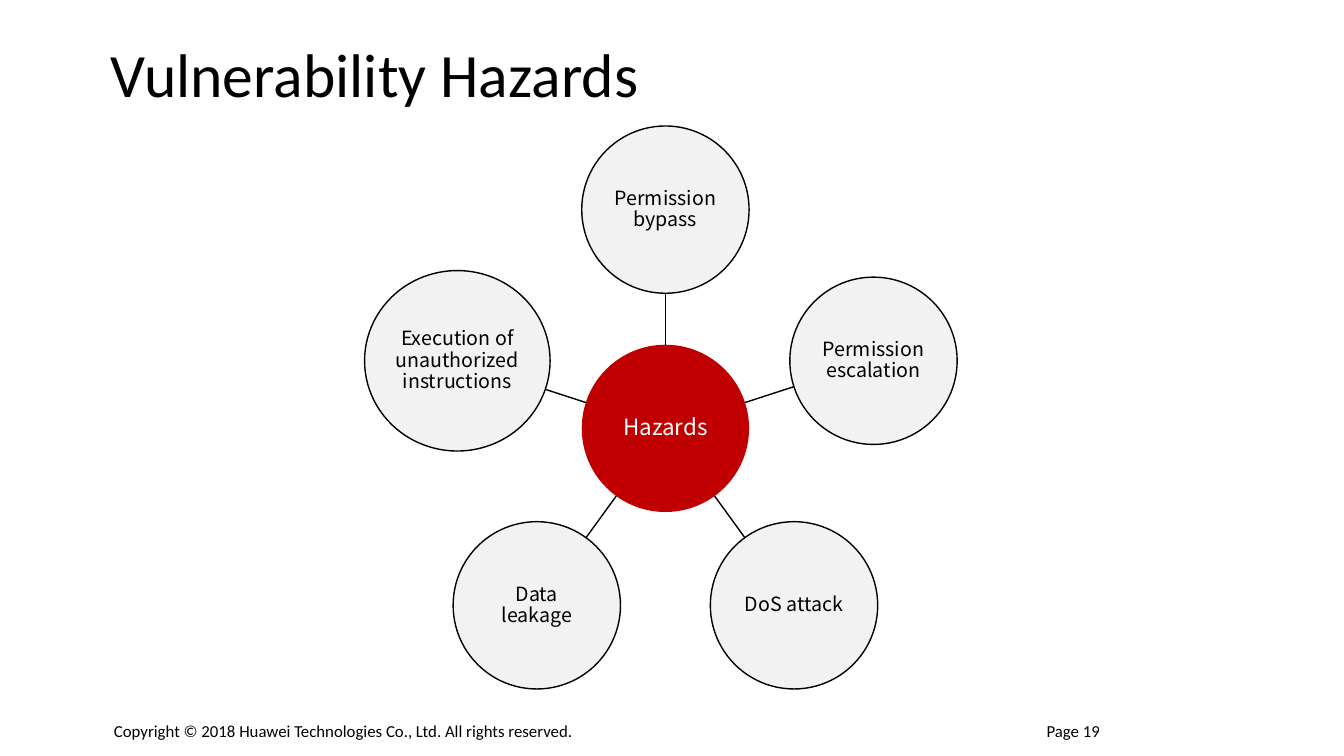
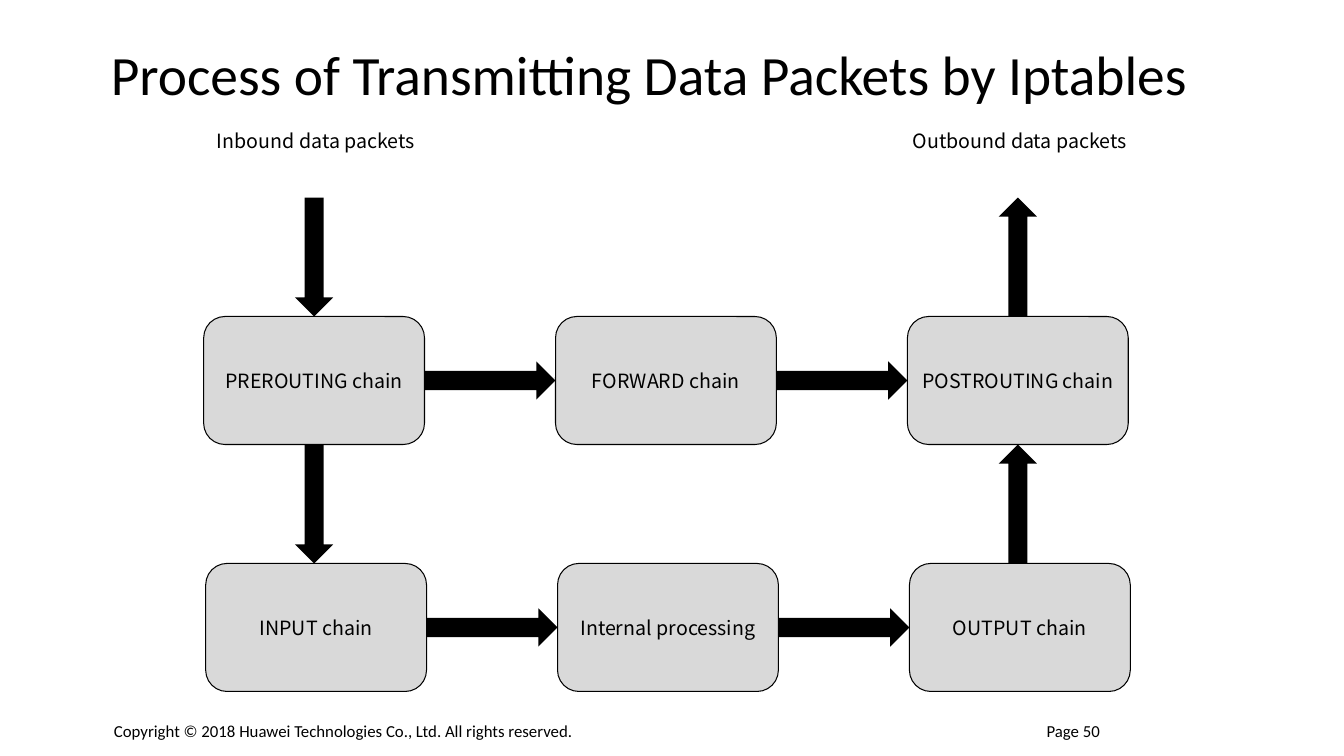
from math import cos, radians, sin

from lxml import etree
from pptx import Presentation
from pptx.dml.color import RGBColor
from pptx.enum.shapes import MSO_CONNECTOR, MSO_SHAPE
from pptx.enum.text import MSO_ANCHOR, PP_ALIGN
from pptx.oxml.ns import qn
from pptx.util import Inches, Pt

OVAL, ROUND_RECT = MSO_SHAPE.OVAL, MSO_SHAPE.ROUNDED_RECTANGLE
DOWN, UP, RIGHT = MSO_SHAPE.DOWN_ARROW, MSO_SHAPE.UP_ARROW, MSO_SHAPE.RIGHT_ARROW
STRAIGHT = MSO_CONNECTOR.STRAIGHT
LEFT, CENTER = PP_ALIGN.LEFT, PP_ALIGN.CENTER
TOP, MIDDLE = MSO_ANCHOR.TOP, MSO_ANCHOR.MIDDLE

COLORS = {"ink": "000000", "paper": "FFFFFF", "hub": "C00000",
          "satellite": "F2F2F2", "chain": "D9D9D9"}
LATIN, BODY = "Calibri", "Noto Sans CJK SC"
SLIDE_W, SLIDE_H = 13.33, 7.5
COPYRIGHT = "Copyright © 2018 Huawei Technologies Co., Ltd. All rights reserved."

# Radial diagram
HUB_X, HUB_Y, ORBIT, DISC = 6.6, 4.25, 2.17, 1.66
HAZARDS = [("Permission bypass", DISC, DISC), ("Permission escalation", DISC, DISC),
           ("DoS attack", DISC, DISC), ("Data leakage", DISC, DISC),
           ("Execution of unauthorized instructions", 1.84, 1.79)]

# Chain grid: the lower row sits slightly to the right
GRID_X, GRID_Y, BOX_W, BOX_H = 2.02, 3.14, 2.19, 1.27
GAP_X, GAP_Y, ROW_SHIFT, ARROW = 1.3, 1.18, 0.02, 0.38
CHAINS = [["PREROUTING chain", "FORWARD chain", "POSTROUTING chain"],
          ["INPUT chain", "Internal processing", "OUTPUT chain"]]


def rgb(name):
    return RGBColor.from_string(COLORS[name])


def write(sp, text, size, color="ink", font=BODY, align=CENTER, anchor=MIDDLE,
          inset=(0, 0), spacing=1.0):
    """Put one paragraph in a shape; inset is (sides, top and bottom)."""
    tf = sp.text_frame
    tf.word_wrap = True
    tf.vertical_anchor = anchor
    tf.margin_left = tf.margin_right = Inches(inset[0])
    tf.margin_top = tf.margin_bottom = Inches(inset[1])
    p = tf.paragraphs[0]
    p.text, p.alignment, p.line_spacing = text, align, spacing
    p.font.size, p.font.name = Pt(size), font
    p.font.color.rgb = rgb(color)


def add_text(s, x, y, w, h, text, size, **style):
    sp = s.shapes.add_textbox(Inches(x), Inches(y), Inches(w), Inches(h))
    write(sp, text, size, **style)


def add_shape(s, kind, cx, cy, w, h, fill, line=None):
    """Add a preset shape centred on (cx, cy); line is its outline in points."""
    sp = s.shapes.add_shape(kind, Inches(cx - w / 2), Inches(cy - h / 2),
                            Inches(w), Inches(h))
    sp.shadow.inherit = False
    sp.fill.solid()
    sp.fill.fore_color.rgb = rgb(fill)
    if line:
        sp.line.color.rgb = rgb("ink")
        sp.line.width = Pt(line)
    else:
        sp.line.fill.background()
    return sp


def add_spoke(s, x1, y1, x2, y2):
    line = s.shapes.add_connector(STRAIGHT, Inches(x1), Inches(y1),
                                  Inches(x2), Inches(y2))
    line.line.color.rgb = rgb("ink")
    line.line.width = Pt(1)
    etree.SubElement(line._element.spPr, qn("a:effectLst"))


def add_slide(prs, title, title_size, page):
    s = prs.slides.add_slide(prs.slide_layouts[6])
    for x, w, text in ((1.04, 5.6, COPYRIGHT), (10.29, 1.1, f"Page {page}")):
        add_text(s, x, 7.11, w, 0.29, text, 12, font=LATIN, align=LEFT,
                 anchor=TOP, inset=(0.09, 0.04))
    add_text(s, 1, 0.29, 11.55, 0.95, title, title_size, font=LATIN, align=LEFT,
             inset=(0.1, 0.05), spacing=0.9)
    return s


def add_disc(s, cx, cy, w, h, text, size, fill, color="ink", line=None):
    sp = add_shape(s, OVAL, cx, cy, w, h, fill, line)
    write(sp, text, size, color, inset=(0.01, 0.01), spacing=0.9)


def on_ray(angle, distance):
    return HUB_X + distance * cos(angle), HUB_Y + distance * sin(angle)


def build_hazards(prs):
    s = add_slide(prs, "Vulnerability Hazards", 44, 19)
    add_disc(s, HUB_X, HUB_Y, DISC, DISC, "Hazards", 16, "hub", "paper")
    for i, (text, w, h) in enumerate(HAZARDS):
        angle = radians(-90 + i * 360 / len(HAZARDS))
        add_spoke(s, *on_ray(angle, DISC / 2), *on_ray(angle, ORBIT - w / 2))
        add_disc(s, *on_ray(angle, ORBIT), w, h, text, 14, "satellite", line=1)


def box_center(row, col):
    return (GRID_X + BOX_W / 2 + col * (BOX_W + GAP_X) + row * ROW_SHIFT,
            GRID_Y + BOX_H / 2 + row * (BOX_H + GAP_Y))


def build_chains(prs):
    s = add_slide(prs, "Process of Transmitting Data Packets by Iptables", 39.6, 50)
    for row, names in enumerate(CHAINS):
        for col, name in enumerate(names):
            cx, cy = box_center(row, col)
            sp = add_shape(s, ROUND_RECT, cx, cy, BOX_W, BOX_H, "chain", 0.75)
            write(sp, name, 14)
            if col:
                add_shape(s, RIGHT, cx - (BOX_W + GAP_X) / 2, cy, GAP_X, ARROW, "ink")

    ends = ((0, DOWN, "Inbound data packets"), (2, UP, "Outbound data packets"))
    for col, kind, label in ends:
        cx, _ = box_center(0, col)
        for row in range(len(CHAINS)):
            _, cy = box_center(row, col)
            add_shape(s, kind, cx, cy - (BOX_H + GAP_Y) / 2, ARROW, GAP_Y, "ink")
        add_text(s, cx - 1.38, 1.23, 2.8, 0.45, label, 14, anchor=TOP,
                 inset=(0.11, 0.05))


def main():
    prs = Presentation()
    prs.slide_width, prs.slide_height = Inches(SLIDE_W), Inches(SLIDE_H)
    build_hazards(prs)
    build_chains(prs)
    prs.save("out.pptx")


if __name__ == "__main__":
    main()
